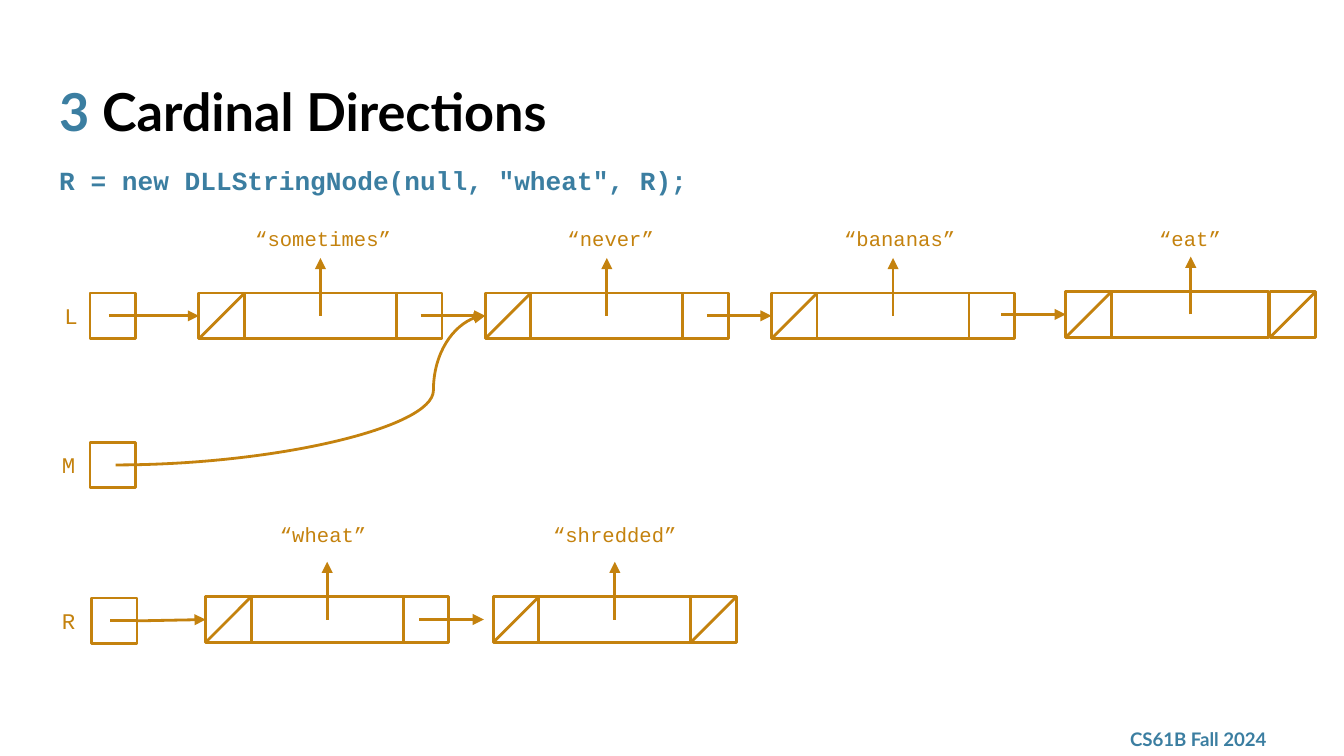
from dataclasses import dataclass

from lxml.etree import SubElement
from pptx import Presentation
from pptx.dml.color import RGBColor
from pptx.enum.shapes import MSO_CONNECTOR as Connector, MSO_SHAPE as Shape
from pptx.enum.text import MSO_ANCHOR as Anchor, MSO_AUTO_SIZE as AutoSize, PP_ALIGN as Align
from pptx.oxml.ns import qn
from pptx.util import Inches, Pt

BLUE = RGBColor(0x3B, 0x7E, 0xA1)
GOLD = RGBColor(0xC4, 0x82, 0x0E)
BLACK = RGBColor(0, 0, 0)
WHITE = RGBColor(0xFF, 0xFF, 0xFF)
SANS, MONO = "Lato", "Courier New"

CELL = 0.34
HALF = CELL / 2
DATA_WIDTH = 1.17
POINTER_LENGTH = 0.48


@dataclass
class Node:
    text: str
    left: float
    top: float
    label_left: float
    label_top: float = 1.59
    label_width: float = 1.17
    next_offset: float = 1.47
    is_last: bool = False


TOP_LIST = [
    Node("“sometimes”", 1.48, 2.18, 1.79, label_width=1.23),
    Node("“never”", 3.61, 2.18, 3.96),
    Node("“bananas”", 5.74, 2.18, 6.11),
    Node("“eat”", 7.93, 2.17, 8.27, next_offset=1.52, is_last=True),
]
BOTTOM_LIST = [
    Node("“wheat”", 1.53, 4.44, 1.87, 3.79, label_width=1.07),
    Node("“shredded”", 3.67, 4.44, 3.99, 3.79, is_last=True),
]


def place(shape, left, top, width, height):
    shape.left, shape.top = Inches(left), Inches(top)
    shape.width, shape.height = Inches(width), Inches(height)


def write_text(shape, *parts, font=MONO, size=11, bold=False, align=Align.LEFT,
               anchor=Anchor.TOP, inset=0.1, auto_size=AutoSize.NONE, spacing=1.0):
    """Fill the shape with one paragraph made of (text, colour) parts."""
    frame = shape.text_frame
    frame.word_wrap = True
    frame.auto_size = auto_size
    frame.vertical_anchor = anchor
    frame.margin_left = frame.margin_right = Inches(inset)
    frame.margin_top = frame.margin_bottom = Inches(inset)
    paragraph = frame.paragraphs[0]
    paragraph.alignment = align
    paragraph.line_spacing = spacing
    paragraph.space_before = Pt(0)
    for text, color in parts:
        run = paragraph.add_run()
        run.text = text
        run.font.name, run.font.size, run.font.bold = font, Pt(size), bold
        run.font.color.rgb = color


def add_text(slide, left, top, width, height, text, color=GOLD, **text_format):
    box = slide.shapes.add_textbox(Inches(left), Inches(top), Inches(width), Inches(height))
    write_text(box, (text, color), **text_format)


def add_box(slide, left, top, width=CELL):
    box = slide.shapes.add_shape(
        Shape.RECTANGLE, Inches(left), Inches(top), Inches(width), Inches(CELL))
    box.shadow.inherit = False
    box.fill.solid()
    box.fill.fore_color.rgb = WHITE
    box.line.color.rgb = GOLD
    box.line.width = Pt(1.5)
    return box


def add_line(slide, start, end, arrow=False, kind=Connector.STRAIGHT):
    line = slide.shapes.add_connector(kind, *(Inches(value) for value in (*start, *end)))
    line.line.color.rgb = GOLD
    line.line.width = Pt(1.5)
    if arrow:
        SubElement(line.line._get_or_add_ln(), qn("a:tailEnd"), type="triangle")
    SubElement(line._element.spPr, qn("a:effectLst"))
    return line


def add_slash(slide, left, top):
    add_line(slide, (left, top + CELL), (left + CELL, top))


def add_node(slide, node):
    """Draw a node with its string and return its previous-pointer box."""
    next_left = node.left + node.next_offset
    add_box(slide, node.left + CELL, node.top, DATA_WIDTH)
    add_box(slide, next_left, node.top)
    previous_box = add_box(slide, node.left, node.top)
    add_slash(slide, node.left, node.top)
    if node.is_last:
        add_slash(slide, next_left, node.top)
    middle = node.left + (node.next_offset + CELL) / 2
    add_line(slide, (middle, node.top + HALF), (middle, node.top - 0.26), arrow=True)
    add_text(slide, node.label_left, node.label_top, node.label_width, 0.39, node.text,
             align=Align.CENTER, auto_size=AutoSize.SHAPE_TO_FIT_TEXT)
    return previous_box


def add_next_pointer(slide, end_x, top, target=None):
    y = top + HALF
    pointer = add_line(slide, (end_x - POINTER_LENGTH, y), (end_x, y), arrow=True)
    if target is not None:
        pointer.end_connect(target, 1)


def add_variable(slide, name, label_left, left, top):
    box = add_box(slide, left, top)
    add_text(slide, label_left, top, CELL, CELL, name, size=12, inset=0,
             align=Align.CENTER, anchor=Anchor.MIDDLE)
    return box


def point_variable(slide, box, left, top, target):
    """Join a variable's box to the first node of its list."""
    side = (left + CELL, top + HALF)
    pointer = add_line(slide, side, (side[0] + POINTER_LENGTH, side[1]), arrow=True)
    pointer.begin_connect(box, 3)
    pointer.end_connect(target, 1)
    add_line(slide, (left + 0.14, top + HALF), side).end_connect(box, 3)


def add_curve(slide, start, end, bend):
    curve = add_line(slide, start, end, arrow=True, kind=Connector.CURVE)
    adjustments = curve._element.spPr.find(qn("a:prstGeom")).get_or_add_avLst()
    SubElement(adjustments, qn("a:gd"), name="adj1", fmla=f"val {round(bend * 100000)}")


def add_headings(slide):
    title, body = slide.shapes.title, slide.placeholders[1]
    place(title, 0.34, 0.49, 9.32, 0.63)
    write_text(title, ("3 ", BLUE), ("Cardinal Directions", BLACK),
               font=SANS, size=28, bold=True)
    place(body, 0.34, 1.09, 9.32, 0.79)
    properties = body.text_frame.paragraphs[0]._p.get_or_add_pPr()
    properties.set("marL", "0")
    properties.set("indent", "0")
    SubElement(properties, qn("a:buNone"))
    write_text(body, ('R = new DLLStringNode(null, "wheat", R);', BLUE),
               size=14, bold=True, spacing=1.15)


def main():
    presentation = Presentation()
    presentation.slide_width = Inches(10)
    presentation.slide_height = Inches(10 * 9 / 16)
    slide = presentation.slides.add_slide(presentation.slide_layouts[1])
    add_text(slide, 8.31, 5.37, 1.35, 0.26, "CS61B Fall 2024", BLUE,
             font=SANS, size=10, bold=True, anchor=Anchor.MIDDLE)
    add_headings(slide)

    top_boxes = [add_node(slide, node) for node in TOP_LIST]
    bottom_boxes = [add_node(slide, node) for node in BOTTOM_LIST]
    for node, box in zip(TOP_LIST[1:], top_boxes[1:]):
        add_next_pointer(slide, node.left, node.top, box)
    add_next_pointer(slide, 3.6, 4.44)

    l_box = add_variable(slide, "L", 0.36, 0.67, 2.18)
    point_variable(slide, l_box, 0.67, 2.18, top_boxes[0])
    add_variable(slide, "M", 0.34, 0.67, 3.29)
    add_curve(slide, (0.86, 3.46), (3.61, 2.35), bend=0.86)
    r_box = add_variable(slide, "R", 0.34, 0.68, 4.45)
    point_variable(slide, r_box, 0.68, 4.45, bottom_boxes[0])

    presentation.save("out.pptx")


if __name__ == "__main__":
    main()
